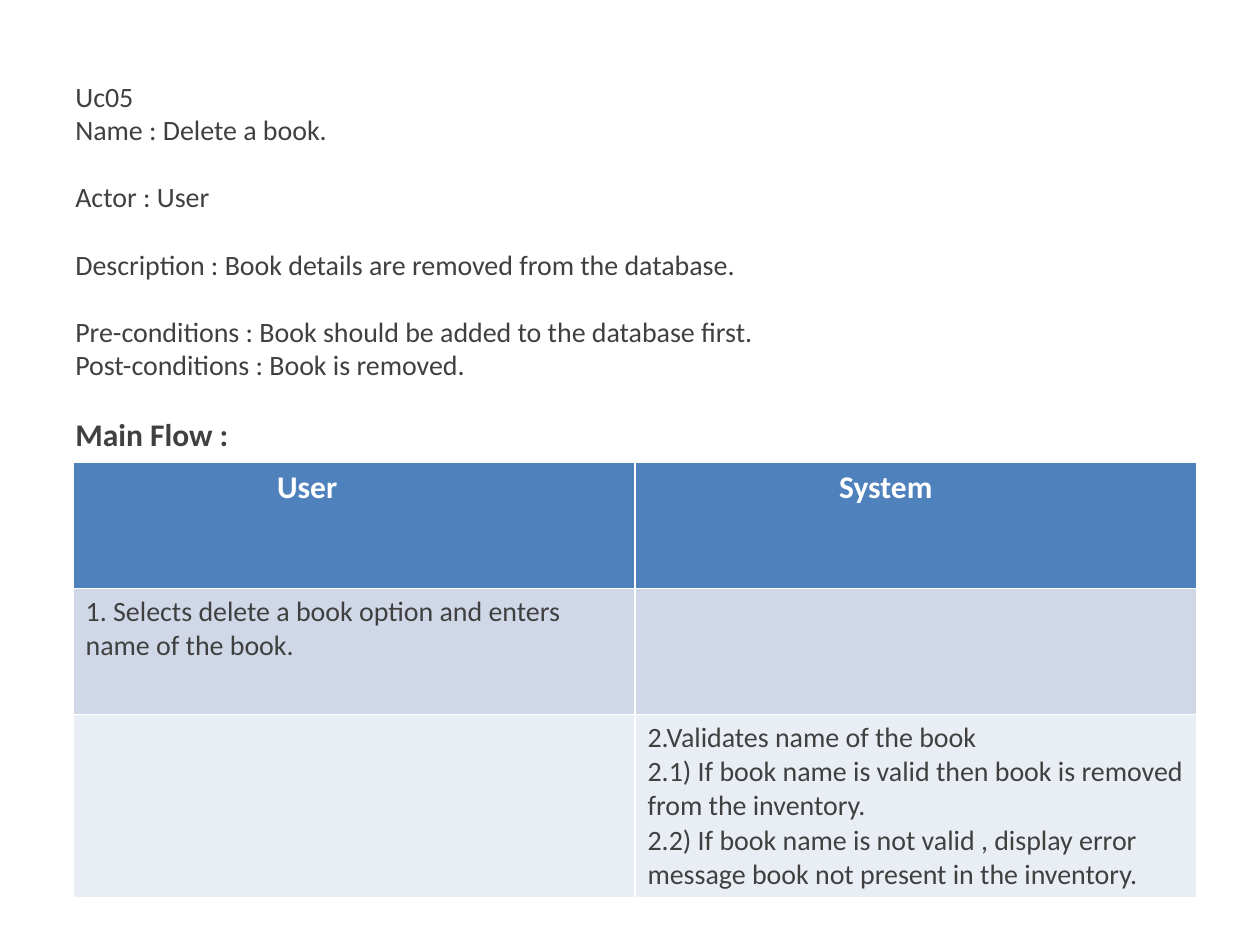
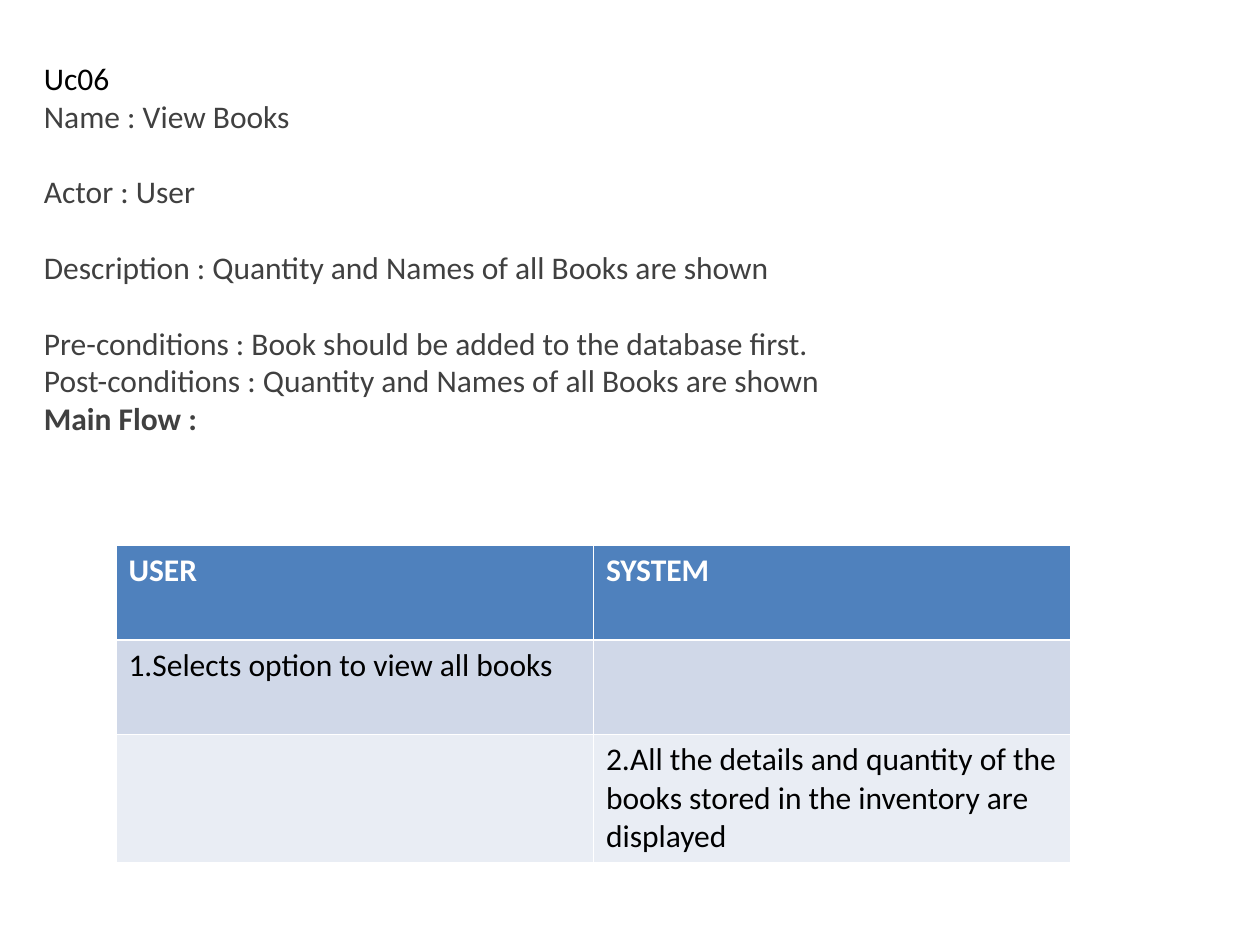
from pptx import Presentation
from pptx import util as u
from pptx.dml.color import RGBColor
from pptx.enum import text

FONT = "Calibri"
GREY, BLACK, WHITE = "404040", "000000", "FFFFFF"
HEADER_FILL = "4F81BD"
BAND_FILLS = ["D0D8E8", "E9EDF4"]
LINE_HEIGHT = 1.2
CELL_MARGIN = 0.1


def color(hex_string):
    return RGBColor.from_string(hex_string)


class UseCaseDeck:
    """Draws use case descriptions and their flow tables in one shared style."""

    def __init__(self):
        self.presentation = Presentation()
        self.presentation.slide_width = u.Inches(10)
        self.presentation.slide_height = u.Inches(7.5)
        self.slide = None

    def add_slide(self):
        self.slide = self.presentation.slides.add_slide(self.presentation.slide_layouts[6])

    def format(self, paragraph, size, font_color, bold=False):
        font = paragraph.font
        font.name, font.size, font.bold = FONT, u.Pt(size), bold
        font.color.rgb = color(font_color)

    def add_description(self, box, size, lines, gaps_before, code_color=GREY):
        shape = self.slide.shapes.add_textbox(*map(u.Inches, box))
        frame = shape.text_frame
        frame.word_wrap = True
        frame.auto_size = text.MSO_AUTO_SIZE.NONE
        frame.text = "\n".join(lines + ["Main Flow :"])
        for index, paragraph in enumerate(frame.paragraphs):
            self.format(paragraph, size, code_color if index == 0 else GREY)
            if paragraph.text.split(" :")[0] in gaps_before:
                paragraph.space_before = u.Pt(size * LINE_HEIGHT)
        self.format(paragraph, 18, GREY, bold=True)

    def add_flow_table(self, left, top, column_width, row_heights, rows,
                       size, body_color, header_indent=0):
        columns = len(rows[0])
        shape = self.slide.shapes.add_table(
            len(rows), columns, u.Inches(left), u.Inches(top),
            u.Inches(column_width * columns), u.Inches(sum(row_heights)))
        table = shape.table
        for column in table.columns:
            column.width = u.Inches(column_width)
        for index, (height, row) in enumerate(zip(row_heights, rows)):
            table.rows[index].height = u.Inches(height)
            header = index == 0
            fill = HEADER_FILL if header else BAND_FILLS[(index - 1) % 2]
            for cell, words in zip(table.rows[index].cells, row):
                cell.fill.solid()
                cell.fill.fore_color.rgb = color(fill)
                if header:
                    cell.margin_left = u.Inches(CELL_MARGIN + header_indent)
                cell.text = words
                for paragraph in cell.text_frame.paragraphs:
                    self.format(paragraph, 18 if header else size,
                                WHITE if header else body_color, header)


def main():
    deck = UseCaseDeck()
    gaps = ["Actor", "Description", "Pre-conditions"]

    deck.add_slide()
    deck.add_description((0.5, 0.58, 9, 3.1), 16, [
        "Uc05",
        "Name : Delete a book.",
        "Actor : User",
        "Description : Book details are removed from the database.",
        "Pre-conditions : Book should be added to the database first.",
        "Post-conditions : Book is removed.",
    ], gaps + ["Main Flow"])
    deck.add_flow_table(0.58, 3.67, 4.46, [1, 1, 1.43], [
        ["User", "System"],
        ["1. Selects delete a book option and enters name of the book.", ""],
        ["", "2.Validates name of the book\n"
             "2.1) If book name is valid then book is removed from the inventory.\n"
             "2.2) If book name is not valid , display error message book not "
             "present in the inventory."],
    ], 16, GREY, header_indent=1.52)

    deck.add_slide()
    deck.add_flow_table(0.92, 4.33, 3.79, [0.75, 0.75, 1], [
        ["USER", "SYSTEM"],
        ["1.Selects option to view all books", ""],
        ["", "2.All the details and quantity of the books stored in the "
             "inventory are displayed"],
    ], 18, BLACK)
    deck.add_description((0.25, 0.42, 9.25, 4.04), 18, [
        "Uc06",
        "Name : View Books",
        "Actor : User",
        "Description : Quantity and Names of all Books are shown",
        "Pre-conditions : Book should be added to the database first.",
        "Post-conditions : Quantity and Names of all Books are shown",
    ], gaps, code_color=BLACK)

    deck.presentation.save("out.pptx")


if __name__ == "__main__":
    main()
